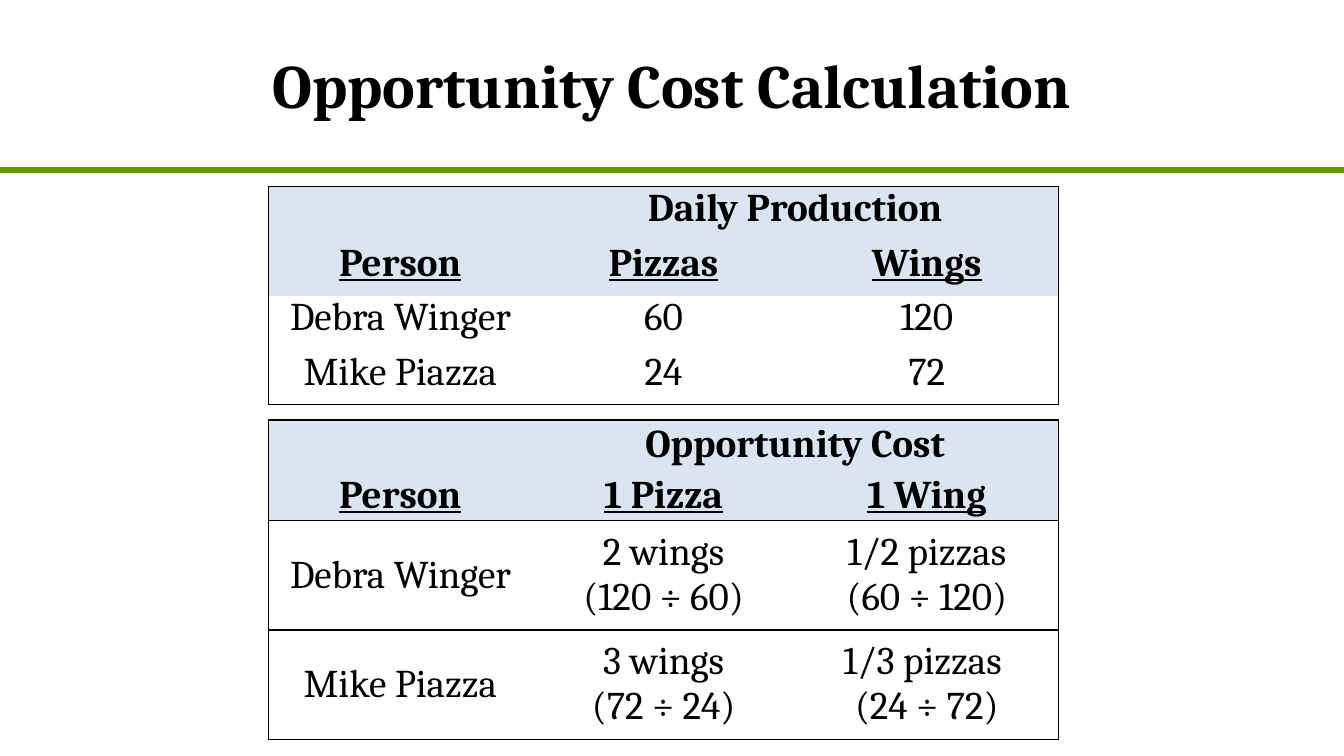
from dataclasses import dataclass

from lxml.etree import SubElement
from pptx import Presentation
from pptx.dml.color import RGBColor
from pptx.enum.shapes import MSO_CONNECTOR
from pptx.enum.text import MSO_ANCHOR, PP_ALIGN
from pptx.oxml.ns import qn
from pptx.slide import Slide
from pptx.table import _Cell
from pptx.util import Pt

COLORS = {"text": "000000", "border": "000000", "header": "DBE5F1", "rule": "669900"}
FONT = "Cambria"
TABLE_LEFT = 192
COLUMN_WIDTH = 188
HEADER_ROWS = 2


@dataclass(frozen=True)
class ProductionTable:
    top: float
    row_heights: tuple[float, ...]
    ruled_edges: tuple[int, ...]
    anchor: MSO_ANCHOR
    rows: tuple[tuple[str, ...], ...]


TABLES = (
    ProductionTable(
        133.2, (39, 39, 39, 39), (0, 4), MSO_ANCHOR.TOP,
        (
            ("", "Daily Production", ""),
            ("Person", "Pizzas", "Wings"),
            ("Debra Winger", "60", "120"),
            ("Mike Piazza", "24", "72"),
        ),
    ),
    ProductionTable(
        300, (36, 36, 78, 78), (0, 2, 3, 4), MSO_ANCHOR.MIDDLE,
        (
            ("", "Opportunity Cost", ""),
            ("Person", "1 Pizza", "1 Wing"),
            ("Debra Winger", "2 wings\n(120 ÷ 60)", "1/2 pizzas\n(60 ÷ 120)"),
            ("Mike Piazza", "3 wings\n(72 ÷ 24)", "1/3 pizzas \n(24 ÷ 72)"),
        ),
    ),
)


def set_borders(cell: _Cell, edges: dict[str, bool]) -> None:
    properties = cell._tc.get_or_add_tcPr()
    for tag, visible in edges.items():
        line = SubElement(properties, qn(f"a:{tag}"), w=str(Pt(1)))
        if visible:
            fill = SubElement(line, qn("a:solidFill"))
            SubElement(fill, qn("a:srgbClr"), val=COLORS["border"])
        else:
            SubElement(line, qn("a:noFill"))


def format_cell(cell: _Cell, text: str, header: bool, underlined: bool, anchor: MSO_ANCHOR) -> None:
    if header:
        cell.fill.solid()
        cell.fill.fore_color.rgb = RGBColor.from_string(COLORS["header"])
    else:
        cell.fill.background()
    cell.margin_left = cell.margin_right = Pt(5)
    cell.margin_top = cell.margin_bottom = Pt(0)
    cell.vertical_anchor = anchor
    if text:
        cell.text = text
    for paragraph in cell.text_frame.paragraphs:
        paragraph.alignment = PP_ALIGN.CENTER
        font = paragraph.font
        font.name = FONT
        font.size = Pt(28)
        font.bold = header
        font.underline = underlined
        font.color.rgb = RGBColor.from_string(COLORS["text"])


def add_production_table(slide: Slide, content: ProductionTable) -> None:
    column_count = len(content.rows[0])
    table = slide.shapes.add_table(
        len(content.rows), column_count, Pt(TABLE_LEFT), Pt(content.top),
        Pt(COLUMN_WIDTH * column_count), Pt(sum(content.row_heights)),
    ).table
    table.first_row = False
    table.horz_banding = False
    for column in table.columns:
        column.width = Pt(COLUMN_WIDTH)
    for row, height in zip(table.rows, content.row_heights):
        row.height = Pt(height)
    table.cell(0, 1).merge(table.cell(0, 2))
    for row_index, texts in enumerate(content.rows):
        for column_index, text in enumerate(texts):
            cell = table.cell(row_index, column_index)
            set_borders(cell, {
                "lnL": column_index == 0,
                "lnR": column_index + cell.span_width == column_count,
                "lnT": row_index in content.ruled_edges,
                "lnB": row_index + 1 in content.ruled_edges,
            })
            header = row_index < HEADER_ROWS
            underlined = row_index == HEADER_ROWS - 1
            format_cell(cell, text, header, underlined, content.anchor)


def add_title(slide: Slide, text: str) -> None:
    title = slide.shapes.title
    title.left, title.top, title.width, title.height = Pt(156), Pt(0), Pt(648), Pt(120)
    title.text_frame.text = text
    title.text_frame.vertical_anchor = MSO_ANCHOR.MIDDLE
    paragraph = title.text_frame.paragraphs[0]
    paragraph.alignment = PP_ALIGN.CENTER
    paragraph.font.name = FONT
    paragraph.font.size = Pt(44)
    paragraph.font.bold = True
    paragraph.font.color.rgb = RGBColor.from_string(COLORS["text"])


def add_title_rule(slide: Slide) -> None:
    rule = slide.shapes.add_connector(
        MSO_CONNECTOR.STRAIGHT, Pt(0), Pt(121.5), Pt(960), Pt(121.5)
    )
    rule.line.color.rgb = RGBColor.from_string(COLORS["rule"])
    rule.line.width = Pt(4.5)
    SubElement(rule._element.spPr, qn("a:effectLst"))


def main() -> None:
    presentation = Presentation()
    presentation.slide_width = Pt(960)
    presentation.slide_height = Pt(540)
    slide = presentation.slides.add_slide(presentation.slide_layouts.get_by_name("Title Only"))
    add_title_rule(slide)
    add_title(slide, "Opportunity Cost Calculation")
    for content in TABLES:
        add_production_table(slide, content)
    presentation.save("out.pptx")


if __name__ == "__main__":
    main()
